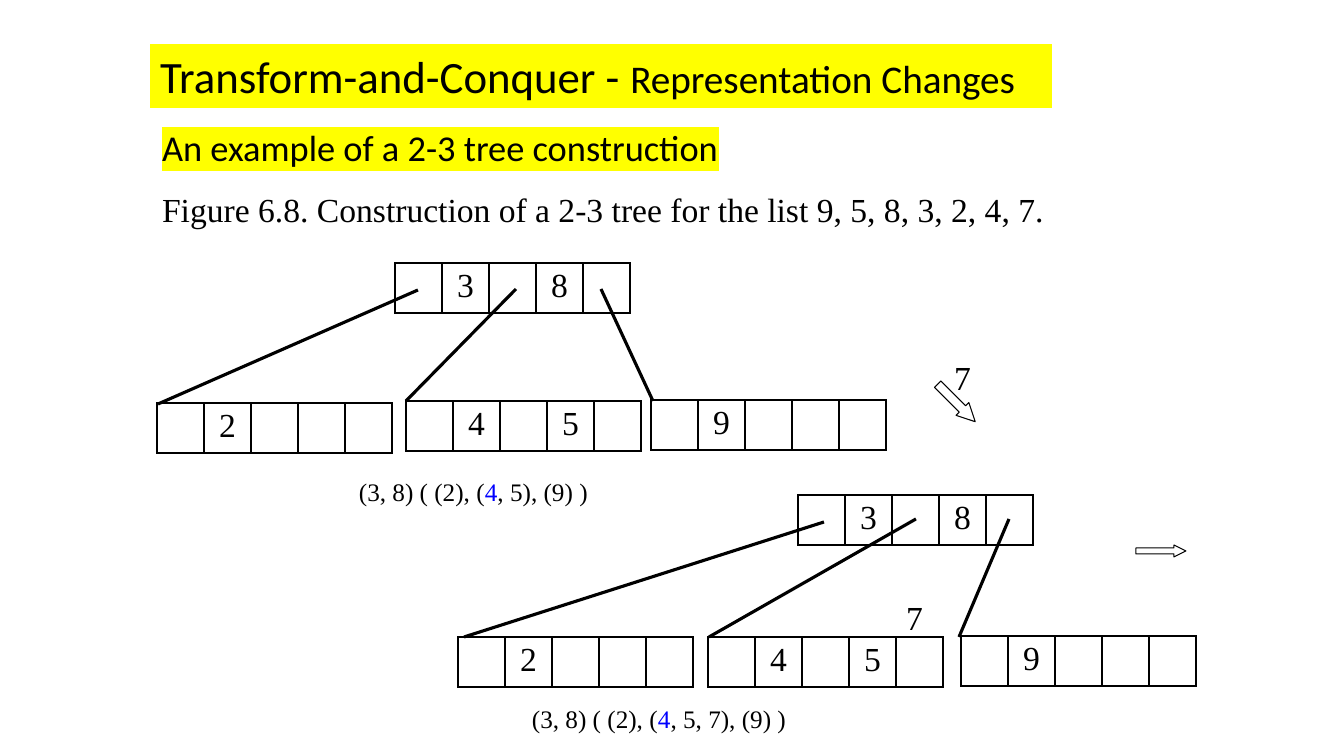
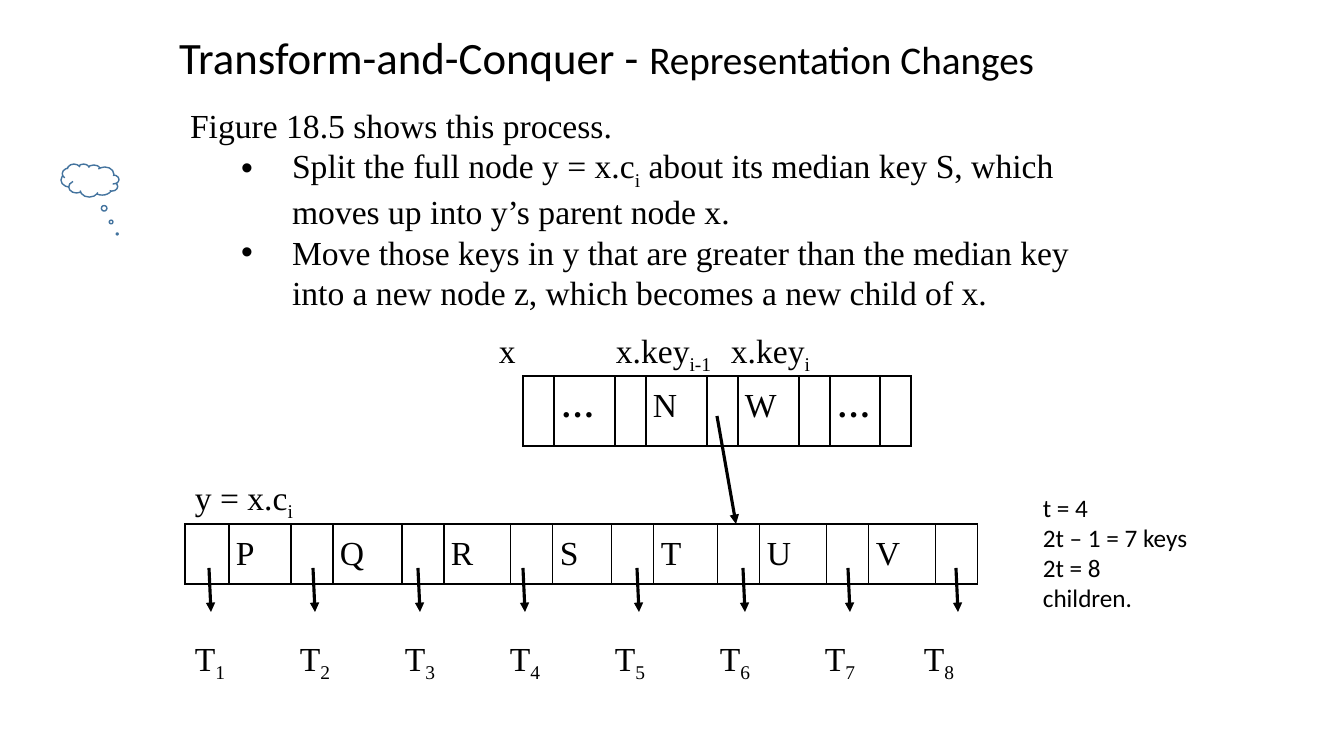
import pptx
import pptx.dml.color
import pptx.enum.shapes
import pptx.enum.text
import pptx.oxml
import pptx.oxml.ns
import pptx.util

PX = 914400 / 100.8
BLACK = pptx.dml.color.RGBColor(0x00, 0x00, 0x00)
WHITE = pptx.dml.color.RGBColor(0xFF, 0xFF, 0xFF)
YELLOW = pptx.dml.color.RGBColor(0xFF, 0xFF, 0x00)
BLUE = pptx.dml.color.RGBColor(0x00, 0x00, 0xFF)
CLOUD_BLUE = pptx.dml.color.RGBColor(0x43, 0x73, 0x9E)
SANS = "Calibri"
SERIF = "Times New Roman"
NAMESPACE = pptx.oxml.ns.nsdecls("a")
ALIGN = pptx.enum.text.PP_ALIGN
SHAPE = pptx.enum.shapes.MSO_SHAPE


def write_run(para, text, size=24, face=SERIF, style=""):
    """Append one run; style is "", "bold", "blue", "sub" or "highlight"."""
    run = para.add_run()
    run.text = text
    run.font.size = pptx.util.Pt(size)
    run.font.name = face
    run.font.bold = style == "bold"
    run.font.color.rgb = BLUE if style == "blue" else BLACK
    properties = run.font._element
    if style == "sub":
        properties.set("baseline", "-25000")
    if style == "highlight":
        properties.find(pptx.oxml.ns.qn("a:solidFill")).addnext(pptx.oxml.parse_xml(
            f'<a:highlight {NAMESPACE}><a:srgbClr val="{YELLOW}"/></a:highlight>'))


def add_node(slide, left, top, height, widths, texts, align, insets, spacing):
    """Draw a tree node as a one-row table with black cell borders."""
    frame = slide.shapes.add_table(1, len(widths), *[
        round(n * PX) for n in (left, top, sum(widths), height)])
    table = frame.table
    table.first_row = table.horz_banding = False
    for column, (width, text) in enumerate(zip(widths, texts)):
        table.columns[column].width = round(width * PX)
        cell = table.cell(0, column)
        cell.margin_left = cell.margin_right = round(insets[0] * PX)
        cell.margin_top = cell.margin_bottom = round(insets[1] * PX)
        cell.fill.solid()
        cell.fill.fore_color.rgb = WHITE
        for index, side in enumerate("LRTB"):
            cell._tc.tcPr.insert(index, pptx.oxml.parse_xml(
                f'<a:ln{side} {NAMESPACE} w="12700"><a:solidFill>'
                f'<a:srgbClr val="{BLACK}"/></a:solidFill></a:ln{side}>'))
        if text:
            para = cell.text_frame.paragraphs[0]
            para.alignment = align
            para.line_spacing = spacing
            write_run(para, text, style="bold" if text == "…" else "")


deck = pptx.Presentation()
deck.slide_width = round(1344 * PX)
deck.slide_height = round(756 * PX)
tree_slide, split_slide = [deck.slides.add_slide(deck.slide_layouts[1]) for _ in range(2)]

# Titles and body text
bodies = [
    (tree_slide, (150, 44, 902, 64), (152, 98, 979, 130), 1.5, [
        (False, [("An example of a 2-3 tree construction", 26, SANS, "highlight")]),
        (False, [("Figure 6.8. Construction of a 2-3 tree for the list "
                  "9, 5, 8, 3, 2, 4, 7.",)])]),
    (split_slide, (169, 25, 905, 64), (180, 100, 937, 214), 1.0, [
        (False, [("Figure 18.5 shows this process.",)]),
        (True, [("Split the full node y = x.c",), ("i", 24, SERIF, "sub"),
                (" about its median key S, which moves up into y’s parent node x.",)]),
        (True, [("Move those keys in y that are greater than the median key "
                 "into a new node z, which becomes a new child of x.",)])]),
]
for slide, title_area, body_area, spacing, paragraphs in bodies:
    title, body = slide.shapes.title, slide.placeholders[1]
    for box, area in ((title, title_area), (body, body_area)):
        box.left, box.top, box.width, box.height = [round(n * PX) for n in area]
        box.text_frame.auto_size = pptx.enum.text.MSO_AUTO_SIZE.NONE
        box.text_frame.vertical_anchor = pptx.enum.text.MSO_ANCHOR.TOP
        box.text_frame.word_wrap = True
    heading = title.text_frame.paragraphs[0]
    heading.alignment = ALIGN.LEFT
    write_run(heading, "Transform-and-Conquer - ", 32, SANS)
    write_run(heading, "Representation Changes", 28, SANS)
    for index, (bulleted, runs) in enumerate(paragraphs):
        para = body.text_frame.add_paragraph() if index else body.text_frame.paragraphs[0]
        properties = para._p.get_or_add_pPr()
        properties.set("marL", str(round(102 * PX) if bulleted else 0))
        properties.set("indent", str(round(-51 * PX) if bulleted else 0))
        bullet = 'buChar {} char="•"' if bulleted else "buNone {}"
        properties.append(pptx.oxml.parse_xml(f"<a:{bullet.format(NAMESPACE)}/>"))
        para.level = int(bulleted)
        para.line_spacing = spacing
        para.space_before = pptx.util.Pt(0)
        for run in runs:
            write_run(para, *run)
tree_slide.shapes.title.fill.solid()
tree_slide.shapes.title.fill.fore_color.rgb = YELLOW

# Tree nodes: pointer and key cells alternate
for left, top, first_key, second_key in [
        (395, 263, "3", "8"), (157, 403, "2", ""), (406, 401, "4", "5"), (651, 400, "9", ""),
        (798, 495, "3", "8"), (458, 637, "2", ""), (708, 637, "4", "5"), (961, 636, "9", "")]:
    add_node(tree_slide, left, top, 50, [47] * 5, ["", first_key, "", second_key, ""],
             ALIGN.CENTER, (10, 5), 1.0)
for left, top, height, first_width, pointer_width, keys in [
        (523, 376, 70, 31, 31, [("…", 61), ("N", 61), ("W", 61), ("…", 50)]),
        (185, 524, 60, 44, 42, [("P", 62), ("Q", 69), ("R", 67), ("S", 59), ("T", 64),
                                ("U", 67), ("V", 67)])]:
    widths, texts = [first_width], [""]
    for key, key_width in keys:
        widths += [key_width, pointer_width]
        texts += [key, ""]
    add_node(split_slide, left, top, height, widths, texts, ALIGN.LEFT, (7, 0), 1.3)

# Links between nodes
links = [(tree_slide, *ends) for ends in [
    (418, 290, 158, 404), (516, 289, 406, 401), (601, 289, 653, 401),
    (824, 522, 464, 637), (916, 519, 709, 637), (1009, 519, 959, 637)]]
links.append((split_slide, 717, 416, 736, 524))
links += [(split_slide, x, 568, x + 2, 612)
          for x in (209, 313, 418, 523, 637, 743, 848, 956)]
for slide, *ends in links:
    link = slide.shapes.add_connector(
        pptx.enum.shapes.MSO_CONNECTOR.STRAIGHT, *[round(n * PX) for n in ends])
    link.line.color.rgb = BLACK
    link.line.width = pptx.util.Pt(2.25)
    if slide is split_slide:
        link.get_or_add_ln().append(
            pptx.oxml.parse_xml(f'<a:tailEnd {NAMESPACE} type="triangle"/>'))
    link.element.spPr.append(pptx.oxml.parse_xml(f"<a:effectLst {NAMESPACE}/>"))

# Step arrows and thought cloud
for slide, kind, area, rotation, adjustments, color, weight in [
        (tree_slide, SHAPE.RIGHT_ARROW, (1136, 545, 50, 12), 0, (0.5, 1), BLACK, 0.75),
        (tree_slide, SHAPE.RIGHT_ARROW, (930, 394, 53, 18), 45, (0.5, 1), BLACK, 0.75),
        (split_slide, SHAPE.CLOUD_CALLOUT, (61, 164, 58, 33), 0, (-0.47, 1.62),
         CLOUD_BLUE, 1)]:
    shape = slide.shapes.add_shape(kind, *[round(n * PX) for n in area])
    shape.rotation = rotation
    for index, value in enumerate(adjustments):
        shape.adjustments[index] = value
    shape.shadow.inherit = False
    shape.fill.solid()
    shape.fill.fore_color.rgb = WHITE
    shape.line.color.rgb = color
    shape.line.width = pptx.util.Pt(weight)
    if kind == SHAPE.CLOUD_CALLOUT:
        shape.element.spPr.xfrm.set("flipH", "1")

# Labels
subtree_runs = []
for number in range(1, 9):
    subtree_runs += [("\tT" if number > 1 else "T", ""), (str(number), "sub")]
subtree_stops = [105 * step for step in range(1, 7)] + [729]
key_runs = [("x\tx.key", ""), ("i-1", "sub"), ("\tx.key", ""), ("i", "sub")]
labels = [
    (tree_slide, (935, 352, 55, 50), 24, SERIF, ALIGN.CENTER, 1.0, [], [[("7", "")]]),
    (tree_slide, (887, 592, 55, 50), 24, SERIF, ALIGN.CENTER, 1.0, [], [[("7", "")]]),
    (tree_slide, (349, 471, 450, 40), 18, SERIF, ALIGN.LEFT, 1.0, [],
     [[("(3, 8) ( (2), (", ""), ("4", "blue"), (", 5), (9) )", "")]]),
    (tree_slide, (522, 698, 450, 40), 18, SERIF, ALIGN.LEFT, 1.0, [],
     [[("(3, 8) ( (2), (", ""), ("4", "blue"), (", 5, 7), (9) )", "")]]),
    (split_slide, (489, 325, 402, 50), 24, SERIF, ALIGN.LEFT, 1.0, [117, 232], [key_runs]),
    (split_slide, (185, 458, 120, 57), 24, SERIF, ALIGN.LEFT, 1.3, [],
     [[("y = x.c", ""), ("i", "sub")]]),
    (split_slide, (185, 633, 822, 50), 24, SERIF, ALIGN.LEFT, 1.0, subtree_stops,
     [subtree_runs]),
    (split_slide, (1033, 487, 170, 132), 18, SANS, ALIGN.LEFT, 1.0, [],
     [[("t = 4", "")], [("2t – 1 = 7 keys", "")], [("2t = 8 children.", "")]]),
]
for slide, area, size, face, align, spacing, stops, paragraphs in labels:
    box = slide.shapes.add_textbox(*[round(n * PX) for n in area])
    box.text_frame.word_wrap = True
    for index, runs in enumerate(paragraphs):
        para = box.text_frame.add_paragraph() if index else box.text_frame.paragraphs[0]
        if stops:
            tabs = "".join(f'<a:tab pos="{round(stop * PX)}" algn="l"/>' for stop in stops)
            para._p.get_or_add_pPr().append(
                pptx.oxml.parse_xml(f"<a:tabLst {NAMESPACE}>{tabs}</a:tabLst>"))
        para.alignment = align
        para.line_spacing = spacing
        for text, style in runs:
            write_run(para, text, size, face, style)

deck.save("out.pptx")
